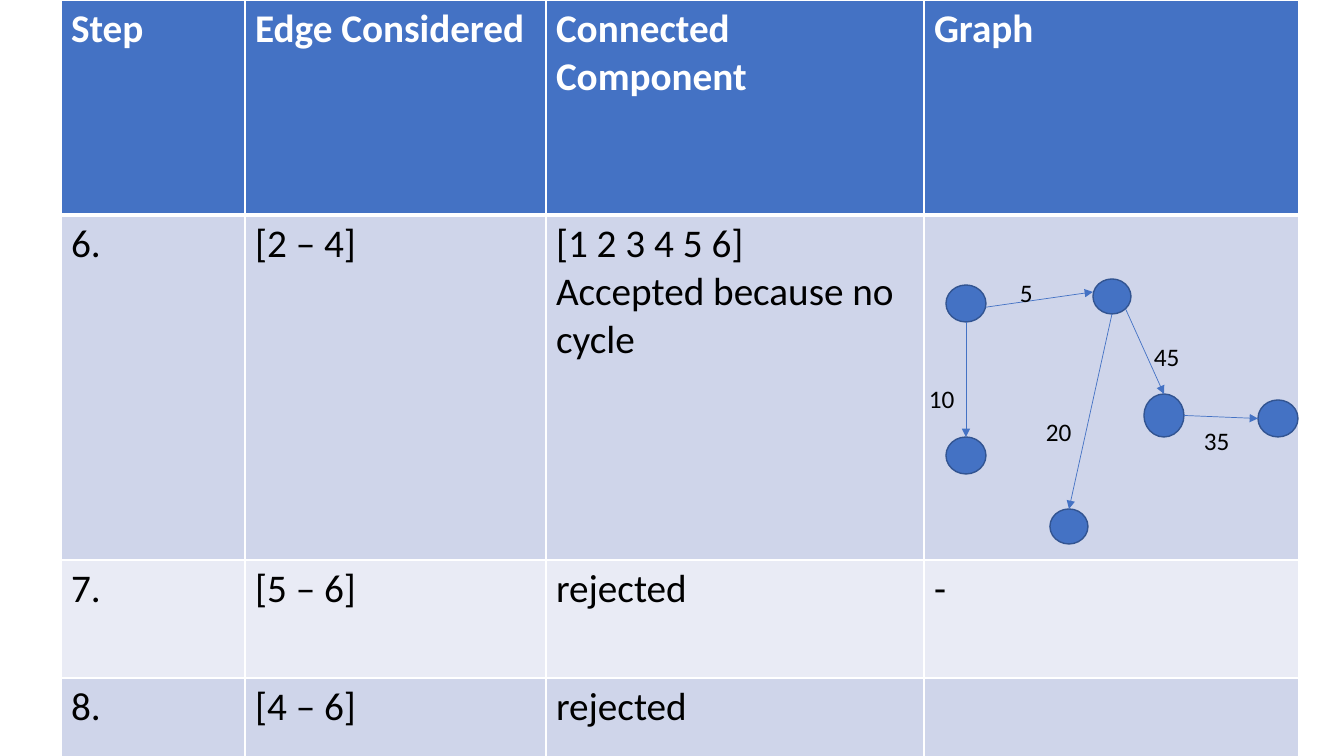
"""Build a slide tabulating the last steps of a spanning tree search beside its graph."""
from lxml.etree import SubElement
from pptx import Presentation
from pptx.dml.color import RGBColor
from pptx.enum.shapes import MSO_CONNECTOR, MSO_SHAPE
from pptx.oxml import parse_xml
from pptx.oxml.ns import nsdecls, qn
from pptx.util import Pt

STEPS = [
    ["Step", "Edge Considered", "Connected Component", "Graph"],
    ["6.", "[2 – 4]", "[1 2 3 4 5 6]\nAccepted because no cycle", ""],
    ["7.", "[5 – 6]", "rejected", "-"],
    ["8.", "[4 – 6]", "rejected", ""],
]
COLUMN_WIDTHS = [184, 301, 378, 375]
ROW_HEIGHTS = [215, 345, 118, 118]
TABLE_LEFT, TABLE_TOP = 61, 0

NODES = {
    "top left": (946, 285, 40, 37),
    "top middle": (1093, 279, 38, 35),
    "bottom left": (946, 437, 40, 37),
    "bottom middle": (1050, 509, 38, 35),
    "right": (1144, 394, 40, 43),
    "far right": (1258, 400, 40, 37),
}
TOP, LEFT, BOTTOM, RIGHT = (0.5, 0), (0, 0.5), (0.5, 1), (1, 0.5)
EDGES = [
    ("top left", (1, 0.6), "top middle", (0, 0.37)),
    ("top left", BOTTOM, "bottom left", TOP),
    ("top middle", BOTTOM, "bottom middle", TOP),
    ("top middle", (0.86, 0.86), "right", TOP),
    ("right", RIGHT, "far right", LEFT),
]
WEIGHTS = [
    ("5", 1010, 272, 38),
    ("10", 919, 378, 52),
    ("20", 1036, 411, 46),
    ("45", 1144, 336, 50),
    ("35", 1194, 420, 62),
]
WEIGHT_HEIGHT = 40

BLUE = RGBColor(0x44, 0x72, 0xC4)
DARK_BLUE = RGBColor(0x32, 0x54, 0x91)
BAND = RGBColor(0xCF, 0xD5, 0xEA)
PALE_BAND = RGBColor(0xE9, 0xEB, 0xF5)
WHITE = RGBColor(0xFF, 0xFF, 0xFF)
BLACK = RGBColor(0, 0, 0)
FONT = "Calibri"


def px(length):
    return round(length * 914400 / 100.8)


def write(frame, text, size, color=BLACK, bold=False):
    frame.word_wrap = True
    frame.text = text
    for paragraph in frame.paragraphs:
        font = paragraph.font
        font.name, font.size, font.bold = FONT, Pt(size), bold
        font.color.rgb = color
        for run in paragraph.runs:
            run.font.name, run.font.size, run.font.bold = FONT, Pt(size), bold
            run.font.color.rgb = color


def add_borders(cell, top, bottom):
    properties = cell._tc.get_or_add_tcPr()
    sides = {"lnL": 1, "lnR": 1, "lnT": top, "lnB": bottom}
    for position, (side, width) in enumerate(sides.items()):
        border = parse_xml(
            f'<a:{side} {nsdecls("a")} w="{Pt(width)}"><a:solidFill>'
            f'<a:srgbClr val="{WHITE}"/></a:solidFill></a:{side}>')
        properties.insert(position, border)


def add_steps(slide):
    table = slide.shapes.add_table(
        len(STEPS), len(COLUMN_WIDTHS), px(TABLE_LEFT), px(TABLE_TOP),
        px(sum(COLUMN_WIDTHS)), px(sum(ROW_HEIGHTS))).table
    for column, width in zip(table.columns, COLUMN_WIDTHS):
        column.width = px(width)
    for index, (row, height, step) in enumerate(zip(table.rows, ROW_HEIGHTS, STEPS)):
        row.height = px(height)
        header = index == 0
        for cell, text in zip(row.cells, step):
            write(cell.text_frame, text, 28, WHITE if header else BLACK, header)
            cell.fill.solid()
            cell.fill.fore_color.rgb = BLUE if header else (PALE_BAND, BAND)[index % 2]
            add_borders(cell, 3 if index == 1 else 1, 3 if header else 1)


def add_node(slide, box):
    node = slide.shapes.add_shape(MSO_SHAPE.OVAL, *map(px, box))
    node.shadow.inherit = False
    node.fill.solid()
    node.fill.fore_color.rgb = BLUE
    node.line.color.rgb = DARK_BLUE
    node.line.width = Pt(1)


def anchor(name, side):
    left, top, width, height = NODES[name]
    return px(left + width * side[0]), px(top + height * side[1])


def add_edge(slide, source, source_side, target, target_side):
    edge = slide.shapes.add_connector(
        MSO_CONNECTOR.STRAIGHT, *anchor(source, source_side), *anchor(target, target_side))
    edge.line.color.rgb = BLUE
    edge.line.width = Pt(0.5)
    SubElement(edge.line._get_or_add_ln(), qn("a:tailEnd"), type="triangle")
    SubElement(edge._element.spPr, qn("a:effectLst"))


def main():
    deck = Presentation()
    deck.slide_width, deck.slide_height = px(1344), px(756)
    slide = deck.slides.add_slide(deck.slide_layouts[6])
    add_steps(slide)
    for box in NODES.values():
        add_node(slide, box)
    for edge in EDGES:
        add_edge(slide, *edge)
    for weight, left, top, width in WEIGHTS:
        label = slide.shapes.add_textbox(px(left), px(top), px(width), px(WEIGHT_HEIGHT))
        write(label.text_frame, weight, 18)
    deck.save("out.pptx")


if __name__ == "__main__":
    main()
